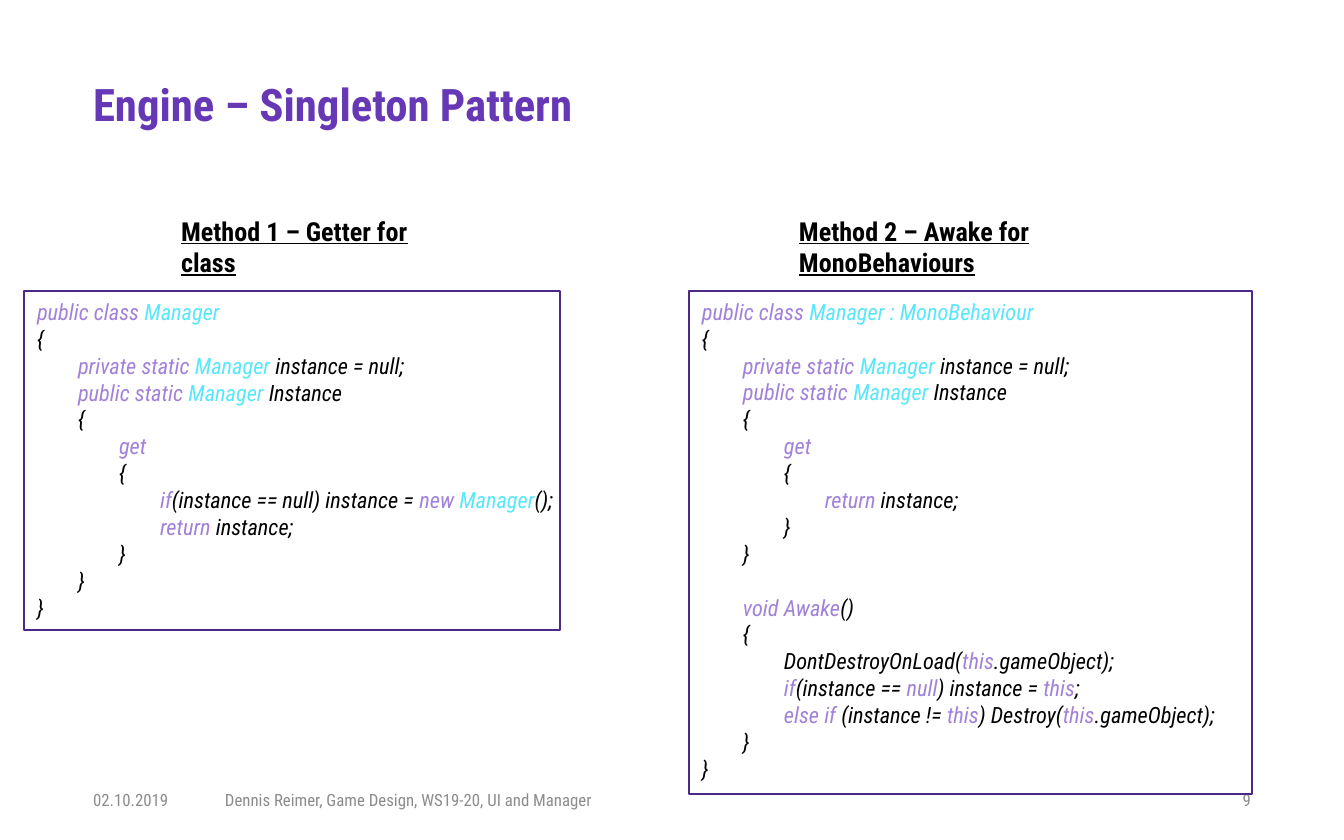
from pptx import Presentation
from pptx.dml.color import RGBColor
from pptx.enum.shapes import MSO_SHAPE as SHAPE
from pptx.enum.text import MSO_ANCHOR as ANCHOR, PP_ALIGN as ALIGN
from pptx.util import Pt

EMU_PER_PX = 914400 / 134.4
FONT = "Roboto Condensed"
COLORS = {
    "title": "6638B6",
    "footer": "8C8C8C",
    "plain": "000000",
    "keyword": "A281D9",
    "type": "59E7FB",
    "frame": "4B2987",
}
PAD_X, PAD_Y, INDENT = 13, 7, 41
BLANK_LINE = Pt(14.4)


def px(n):
    return round(n * EMU_PER_PX)


def kw(text):
    return text, "keyword"


def cls(text):
    return text, "type"


def txt(text):
    return text, "plain"


def line(level, *parts, gap=False):
    return level, parts, gap


OPEN, CLOSE = txt("{"), txt("}")
MEMBERS = [
    line(0, OPEN),
    line(1, kw("private static "), cls("Manager "), txt("instance = null;")),
    line(1, kw("public static "), cls("Manager "), txt("Instance")),
    line(1, OPEN),
    line(2, kw("get")),
    line(2, OPEN),
]
RETURN = [
    line(3, kw("return "), txt("instance;")),
    line(2, CLOSE),
    line(1, CLOSE),
]
GETTER = [
    line(0, kw("public class "), cls("Manager")),
    *MEMBERS,
    line(3, kw("if"), txt("(instance == null) instance = "), kw("new "),
         cls("Manager"), txt("();")),
    *RETURN,
    line(0, CLOSE),
]
AWAKE = [
    line(0, kw("public class "), cls("Manager : MonoBehaviour")),
    *MEMBERS,
    *RETURN,
    line(1, kw("void Awake"), txt("()"), gap=True),
    line(1, OPEN),
    line(2, txt("DontDestroyOnLoad("), kw("this"), txt(".gameObject);")),
    line(2, kw("if"), txt("(instance == "), kw("null"), txt(") instance = "),
         kw("this"), txt(";")),
    line(2, kw("else if "), txt("(instance != "), kw("this"), txt(") Destroy("),
         kw("this"), txt(".gameObject);")),
    line(1, CLOSE),
    line(0, CLOSE),
]


class Deck:
    def __init__(self, width, height):
        self.prs = Presentation()
        self.prs.slide_width, self.prs.slide_height = px(width), px(height)
        self.slide = self.prs.slides.add_slide(self.prs.slide_layouts[6])

    def style(self, r, size, color, bold=False, italic=False, underline=False):
        f = r.font
        f.name, f.size = FONT, Pt(size)
        f.bold, f.italic, f.underline = bold, italic, underline
        f.color.rgb = RGBColor.from_string(COLORS[color])

    def frame(self, box, pad_x=0, pad_y=0, anchor=ANCHOR.TOP):
        tf = self.slide.shapes.add_textbox(*map(px, box)).text_frame
        tf.word_wrap = True
        tf.margin_left = tf.margin_right = px(pad_x)
        tf.margin_top = tf.margin_bottom = px(pad_y)
        tf.vertical_anchor = anchor
        return tf

    def title(self, text, box):
        p = self.frame(box).paragraphs[0]
        p.text = text
        p.line_spacing = 0.9
        self.style(p.runs[0], 24, "title", bold=True)

    def footer(self, text, box, align=ALIGN.LEFT):
        p = self.frame(box, anchor=ANCHOR.MIDDLE).paragraphs[0]
        p.text = text
        p.alignment = align
        self.style(p.runs[0], 9, "footer")

    def heading(self, text, box):
        p = self.frame(box, PAD_X, PAD_Y).paragraphs[0]
        p.text = text
        self.style(p.runs[0], 14, "plain", bold=True, underline=True)

    def code(self, lines, box):
        tf = self.frame(box, PAD_X, PAD_Y)
        for i, (level, parts, gap) in enumerate(lines):
            p = tf.add_paragraph() if i else tf.paragraphs[0]
            p._p.get_or_add_pPr().set("marL", str(px(level * INDENT)))
            if gap:
                p.space_before = BLANK_LINE
            for text, color in parts:
                r = p.add_run()
                r.text = text
                self.style(r, 12, color, italic=True)

    def outline(self, box):
        sp = self.slide.shapes.add_shape(SHAPE.RECTANGLE, *map(px, box))
        sp.shadow.inherit = False
        sp.fill.background()
        sp.line.color.rgb = RGBColor.from_string(COLORS["frame"])
        sp.line.width = Pt(1)


def main():
    deck = Deck(1344, 840)
    deck.title("Engine – Singleton Pattern", (93, 83, 1158, 43))

    footer_top, footer_height = 778, 44
    for text, left, width, align in (
        ("02.10.2019", 93, 97, ALIGN.LEFT),
        ("Dennis Reimer, Game Design, WS19-20, UI and Manager", 225, 895, ALIGN.LEFT),
        ("9", 1154, 97, ALIGN.RIGHT),
    ):
        deck.footer(text, (left, footer_top, width, footer_height), align)

    deck.heading("Method 1 – Getter for class", (168, 208, 293, 46))
    deck.heading("Method 2 – Awake for MonoBehaviours", (786, 208, 417, 46))

    code_top = 291
    for lines, left, text_width, frame_width, height in (
        (GETTER, 24, 546, 536, 339),
        (AWAKE, 689, 563, 563, 503),
    ):
        deck.code(lines, (left, code_top, text_width, height))
        deck.outline((left, code_top, frame_width, height))

    deck.prs.save("out.pptx")


if __name__ == "__main__":
    main()
